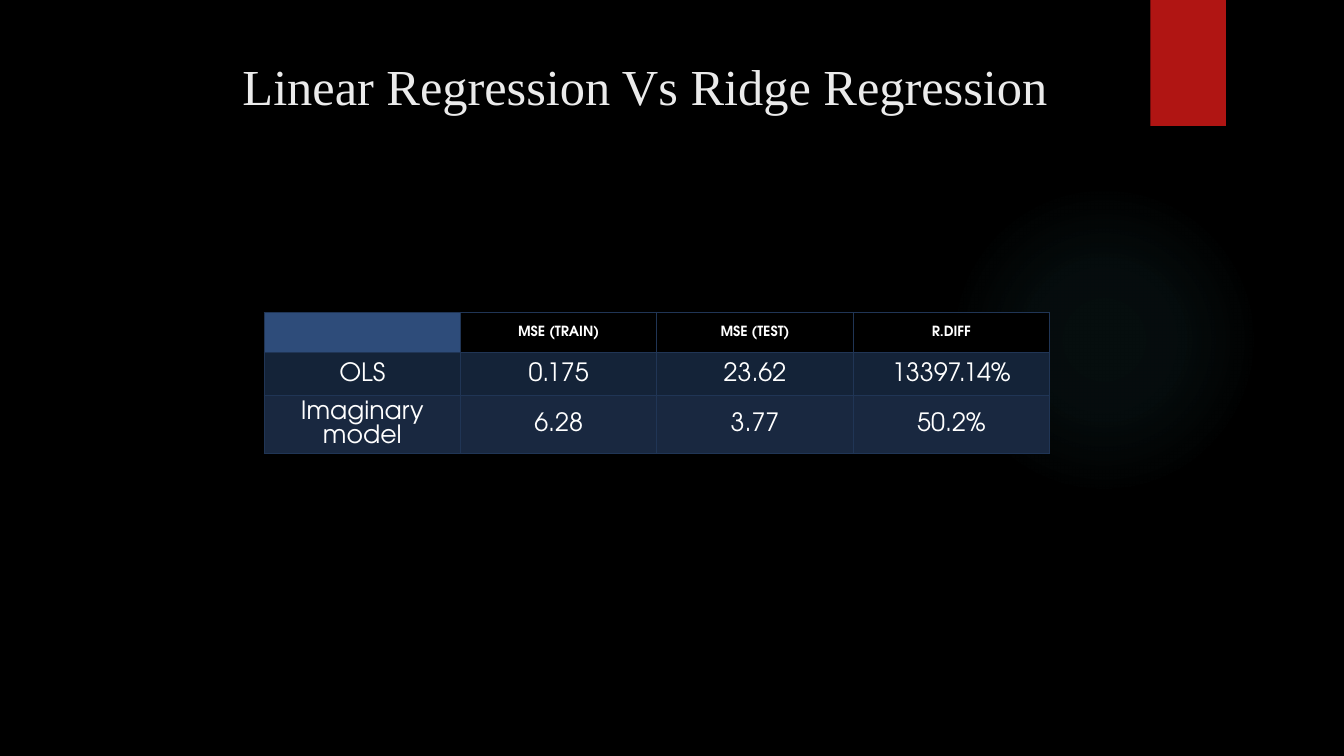
from lxml import etree
from pptx import Presentation
from pptx import util as u
from pptx.dml.color import RGBColor
from pptx.enum import shapes, text
from pptx.oxml import parse_xml
from pptx.oxml.ns import nsdecls, qn

BODY_FONT = "TeX Gyre Adventor"
TITLE_FONT = "Times New Roman"
ROWS = [
    ["", "MSE (TRAIN)", "MSE (TEST)", "R.DIFF"],
    ["OLS", "0.175", "23.62", "13397.14%"],
    ["Imaginary model", "6.28", "3.77", "50.2%"],
]
ROW_FILLS = ["000000", "142338", "192840"]
ROW_HEIGHTS = [0.23, 0.42, 0.57]


def color(value):
    """Turn a hex string into a colour."""
    return RGBColor.from_string(value)


def paint(target, value):
    """Give a shape, cell or background a solid fill."""
    target.fill.solid()
    target.fill.fore_color.rgb = color(value)


def write(tf, words, size, font=BODY_FONT, fill="FFFFFF", bold=False, spacing=None):
    """Write one centred paragraph in a text frame."""
    tf.word_wrap = True
    p = tf.paragraphs[0]
    p.alignment = text.PP_ALIGN.CENTER
    if spacing:
        p.line_spacing = u.Pt(spacing)
    if words:
        r = p.add_run()
        r.text = words
        r.font.name, r.font.size, r.font.bold = font, u.Pt(size), bold
        r.font.color.rgb = color(fill)


def add_shape(s, kind, box):
    """Add a preset shape without line or shadow."""
    sp = s.shapes.add_shape(kind, *map(u.Inches, box))
    sp.shadow.inherit = False
    sp.line.fill.background()
    return sp


def add_glow(s, box):
    """Add a faint round glow that fades towards its rim."""
    sp = add_shape(s, shapes.MSO_SHAPE.OVAL, box)
    stops = "".join(
        f'<a:gs pos="{pos * 1000}"><a:srgbClr val="50B9C1">'
        f'<a:alpha val="{alpha * 1000}"/></a:srgbClr></a:gs>'
        for pos, alpha in [(0, 7), (36, 6), (69, 0)]
    )
    gradient = parse_xml(
        f'<a:gradFill {nsdecls("a")}><a:gsLst>{stops}</a:gsLst><a:path path="circle">'
        '<a:fillToRect l="50000" t="50000" r="50000" b="50000"/></a:path></a:gradFill>'
    )
    sp._element.spPr.find(qn("a:prstGeom")).addnext(gradient)


def add_title(s, box):
    """Add the slide title."""
    tf = s.shapes.add_textbox(*map(u.Inches, box)).text_frame
    write(tf, "Linear Regression Vs Ridge Regression", 36, TITLE_FONT, "EBEBEB")


def add_borders(cell, value, width):
    """Draw all four borders of a cell."""
    tcPr = cell._tc.get_or_add_tcPr()
    for i, side in enumerate(["lnL", "lnR", "lnT", "lnB"]):
        ln = etree.Element(qn(f"a:{side}"), w=str(u.Pt(width)))
        solid = etree.SubElement(ln, qn("a:solidFill"))
        etree.SubElement(solid, qn("a:srgbClr"), val=value)
        tcPr.insert(i, ln)


def add_results(s, left, top, width):
    """Add the table that compares the errors of both models."""
    box = (left, top, width, sum(ROW_HEIGHTS))
    table = s.shapes.add_table(len(ROWS), len(ROWS[0]), *map(u.Inches, box)).table
    for column in table.columns:
        column.width = u.Inches(width / len(ROWS[0]))
    for i, words in enumerate(ROWS):
        table.rows[i].height = u.Inches(ROW_HEIGHTS[i])
        size = 18 if i else 10
        for j, word in enumerate(words):
            cell = table.cell(i, j)
            cell.vertical_anchor = text.MSO_ANCHOR.MIDDLE
            paint(cell, ROW_FILLS[i] if word else "2E4C7A")
            add_borders(cell, "203555", 0.75)
            write(cell.text_frame, word, size, bold=i == 0, spacing=size * 0.95)


def main():
    """Build and save the slide."""
    prs = Presentation()
    prs.slide_width, prs.slide_height = u.Inches(13.33), u.Inches(7.5)
    s = prs.slides.add_slide(prs.slide_layouts[6])
    paint(s.background, "000000")
    add_glow(s, (9.41, 1.83, 3.08, 3.08))
    paint(add_shape(s, shapes.MSO_SHAPE.RECTANGLE, (11.41, 0, 0.75, 1.25)), "B01513")
    add_title(s, (0.71, 0.5, 11.38, 1.53))
    add_results(s, 2.62, 3.1, 7.79)
    prs.save("out.pptx")


if __name__ == "__main__":
    main()
